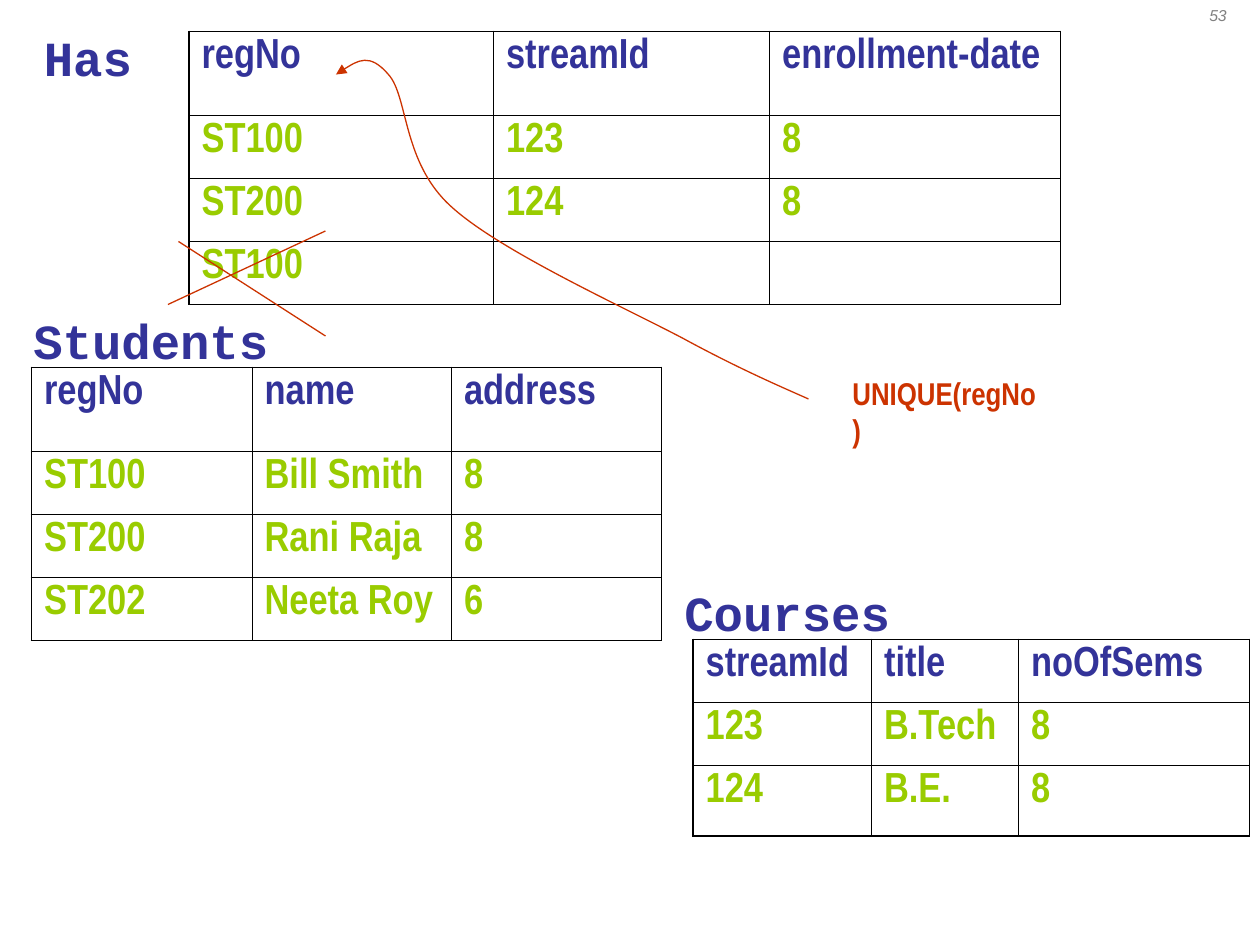
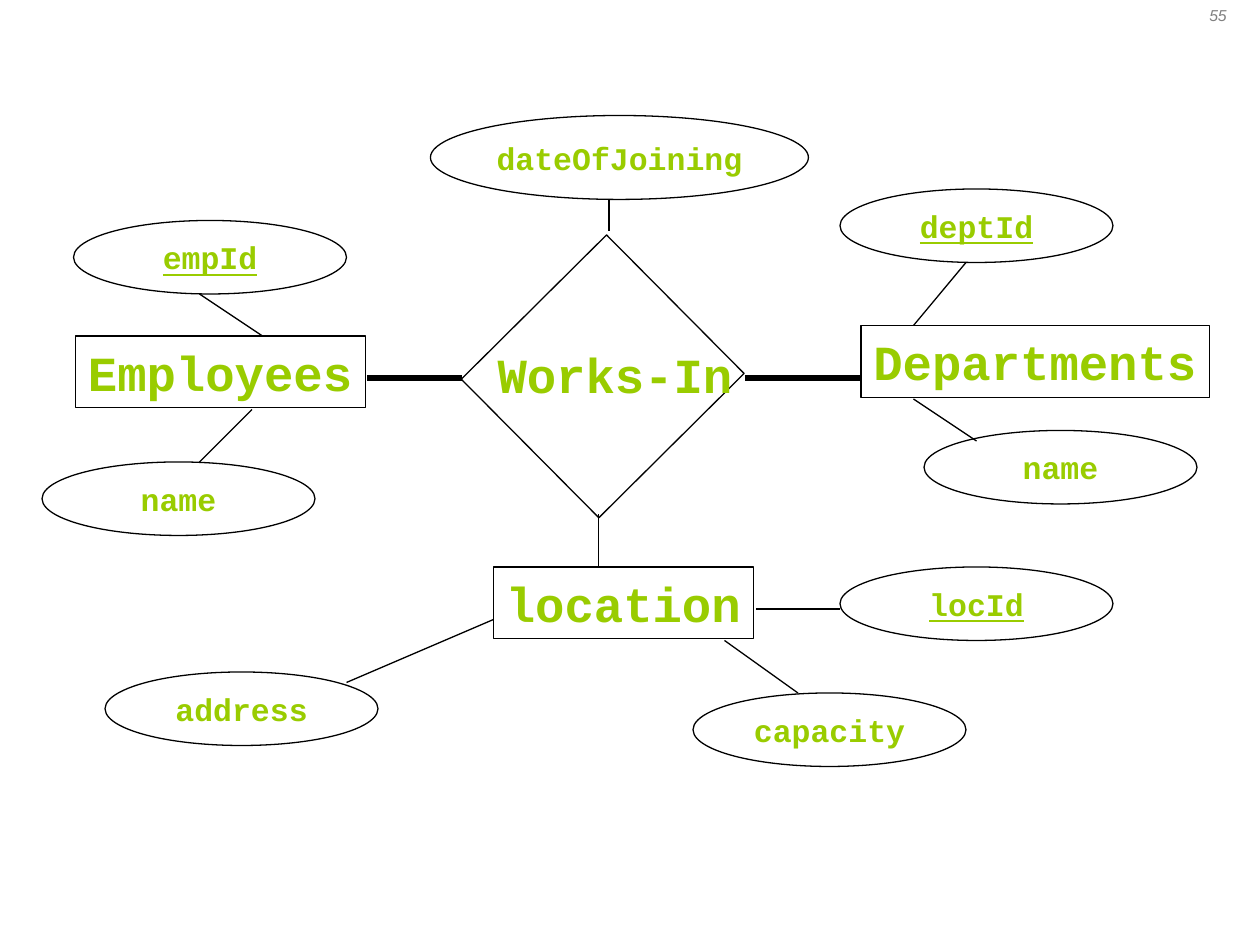
import pptx
import pptx.dml.color
import pptx.enum.shapes
import pptx.enum.text
import pptx.oxml
import pptx.oxml.ns
import pptx.util
from dataclasses import dataclass

RGB = pptx.dml.color.RGBColor
BLACK = RGB(0x00, 0x00, 0x00)
GREY = RGB(0x80, 0x80, 0x80)
NAVY = RGB(0x33, 0x33, 0x99)
LIME = RGB(0x99, 0xCC, 0x00)
RUST = RGB(0xCC, 0x33, 0x00)

SANS, NARROW, MONO = "Arial", "Arial Narrow", "Courier New"
WIDTH, HEIGHT = pptx.util.Inches(10), pptx.util.Inches(7.5)
COLUMNS, ROWS = 120, 90
LABEL_ROWS = 6.84
OVAL = (26, 7)
NAMESPACE = pptx.oxml.ns.nsdecls("a")
SHAPES = pptx.enum.shapes.MSO_SHAPE
CENTER = pptx.enum.text.PP_ALIGN.CENTER


def across(columns):
    return round(WIDTH * columns / COLUMNS)


def down(rows):
    return round(HEIGHT * rows / ROWS)


@dataclass
class Box:
    column: float
    row: float

    def point(self, column, row):
        return across(self.column + column), down(self.row + row)

    def area(self, column, row, columns, rows):
        return (*self.point(column, row), across(columns), down(rows))


def add_text(frame, text, size, font, color, bold=True, italic=False, underline=False, align=None):
    para = frame.paragraphs[0]
    para.alignment = align
    span = para.add_run()
    span.text = text
    span.font.size = pptx.util.Pt(size)
    span.font.name = font
    span.font.color.rgb = color
    span.font.bold = bold
    span.font.italic = italic
    if underline:
        span.font.underline = True


def add_caption(page, area, text, size, font, color):
    frame = page.shapes.add_textbox(*area).text_frame
    frame.word_wrap = False
    add_text(frame, text, size, font, color)


def label_columns(text):
    return (len(text) * 28 * 0.6 / 72 + 0.2) * 12


def add_label(page, box, column, row, text, color):
    area = box.area(column, row, label_columns(text), LABEL_ROWS)
    add_caption(page, area, text, 28, MONO, color)


def add_outline(page, kind, area):
    shape = page.shapes.add_shape(kind, *area)
    shape.shadow.inherit = False
    shape.fill.background()
    shape.line.color.rgb = BLACK
    shape.line.width = pptx.util.Pt(0.75)
    shape.text_frame.word_wrap = False
    return shape


def add_line(page, box, start, end, color=BLACK, weight=0.75):
    line = page.shapes.add_connector(
        pptx.enum.shapes.MSO_CONNECTOR.STRAIGHT, *box.point(*start), *box.point(*end))
    line.line.color.rgb = color
    line.line.width = pptx.util.Pt(weight)
    line.element.spPr.append(pptx.oxml.parse_xml(f"<a:effectLst {NAMESPACE}/>"))


def add_page_number(page, number):
    frame = page.shapes.add_textbox(*Box(112, 0).area(0, 0, 8, 6)).text_frame
    frame.word_wrap = True
    add_text(frame, number, 9, SANS, GREY, bold=False, italic=True, align=CENTER)


def set_borders(cell, outer_sides):
    cell.fill.background()
    properties = cell._tc.get_or_add_tcPr()
    for index, side in enumerate("LRTB"):
        weight = pptx.util.Pt(1.08 if side in outer_sides else 0.45)
        properties.insert(index, pptx.oxml.parse_xml(
            f'<a:ln{side} {NAMESPACE} w="{weight}"><a:solidFill>'
            f'<a:srgbClr val="{BLACK}"/></a:solidFill></a:ln{side}>'))


def add_relation(page, box, name, name_spot, widths, heights, records):
    add_label(page, box, *name_spot, name, NAVY)
    area = box.area(0, 0, sum(widths), sum(heights))
    table = page.shapes.add_table(len(heights), len(widths), *area).table
    for column, width in zip(table.columns, widths):
        column.width = across(width)
    for row, height in zip(table.rows, heights):
        row.height = down(height)
    last_row, last_column = len(heights) - 1, len(widths) - 1
    for r, record in enumerate(records):
        for c, value in enumerate(record):
            cell = table.cell(r, c)
            edges = {"L": c == 0, "R": c == last_column, "T": r == 0, "B": r == last_row}
            set_borders(cell, [side for side, outer in edges.items() if outer])
            if value:
                add_text(cell.text_frame, value, 24, NARROW, LIME if r else NAVY)


def add_curved_arrow(page, box, points):
    start, *rest = [box.point(*point) for point in points]
    builder = page.shapes.build_freeform(*start)
    builder.add_line_segments(rest, close=False)
    arrow = builder.convert_to_shape()
    arrow.shadow.inherit = False
    arrow.fill.background()
    arrow.line.color.rgb = RUST
    arrow.line.width = pptx.util.Pt(0.75)
    segments = arrow.element.xpath(".//a:lnTo")
    for first in range(0, len(segments), 3):
        curve = pptx.oxml.parse_xml(f"<a:cubicBezTo {NAMESPACE}/>")
        segments[first].addprevious(curve)
        for segment in segments[first:first + 3]:
            curve.append(segment[0])
            segment.getparent().remove(segment)
    outline = arrow.element.xpath("./p:spPr/a:ln")[0]
    outline.append(pptx.oxml.parse_xml(f'<a:headEnd {NAMESPACE} type="triangle"/>'))


def add_cross(page, box):
    add_line(page, box, (1, 1), (15, 10), RUST)
    add_line(page, box, (15, 0), (0, 7), RUST)


def add_constraint(page, box, text):
    add_caption(page, box.area(48, 30, 20.64, 4.8), text, 18, NARROW, RUST)
    add_curved_arrow(page, box, [
        (0, 2.1), (1.6, 1), (3.2, 0), (5, 2.1), (6.9, 4.2), (6.3, 10.5), (11, 14.7),
        (15.6, 18.9), (27.3, 24.2), (33, 27.2), (38.7, 30.3), (43, 32.1), (45, 33)])


def add_attribute(page, box, name, spot, is_key, start, end, size=OVAL):
    oval = add_outline(page, SHAPES.OVAL, box.area(*spot, *size))
    oval.text_frame.vertical_anchor = pptx.enum.text.MSO_ANCHOR.MIDDLE
    add_text(oval.text_frame, name, 18, MONO, LIME, underline=is_key, align=CENTER)
    add_line(page, box, start, end)


def add_entity(page, box, name, attributes):
    area = box.area(0, 0, label_columns(name), LABEL_ROWS)
    frame = add_outline(page, SHAPES.RECTANGLE, area).text_frame
    frame.vertical_anchor = pptx.enum.text.MSO_ANCHOR.TOP
    add_text(frame, name, 28, MONO, LIME, align=pptx.enum.text.PP_ALIGN.LEFT)
    for attribute in attributes:
        add_attribute(page, box, *attribute)


def add_relationship(page, box, name, attribute):
    diamond = add_outline(page, SHAPES.RECTANGLE, box.area(4.1, 4.1, 18.6, 19.5))
    diamond.rotation = 45.2
    add_label(page, box, 2.2, 10.2, name, LIME)
    add_attribute(page, box, attribute, (-3, -11), False, (14, 0), (14, -3), (36, 8))
    add_line(page, box, (-9, 14), (0, 14), weight=3)
    add_line(page, box, (27, 14), (38, 14), weight=3)
    add_line(page, box, (13, 32), (13, 27))


def build_relations(page):
    add_page_number(page, "53")
    add_relation(page, Box(66, 60.9), "Courses", (-2, -6), (17, 14, 22), (6, 6, 6.7), [
        ("streamId", "title", "noOfSems"),
        ("123", "B.Tech", "8"),
        ("124", "B.E.", "8")])
    add_relation(page, Box(3, 35), "Students", (-1, -6), (21, 19, 20), (8, 6, 6, 6), [
        ("regNo", "name", "address"),
        ("ST100", "Bill Smith", "8"),
        ("ST200", "Rani Raja", "8"),
        ("ST202", "Neeta Roy", "6")])
    add_relation(page, Box(18, 3), "Has", (-15, -1), (29, 26.3, 27.7), (8, 6, 6, 6), [
        ("regNo", "streamId", "enrollment-date"),
        ("ST100", "123", "8"),
        ("ST200", "124", "8"),
        ("ST100", "", "")])
    add_cross(page, Box(16, 22))
    add_constraint(page, Box(32, 5), "UNIQUE(regNo)")


def build_diagram(page):
    add_page_number(page, "55")
    add_relationship(page, Box(44, 22), "Works-In", "dateOfJoining")
    add_entity(page, Box(7.2, 32), "Employees", [
        ("empId", (-0.2, -11), True, (17.8, 0), (11.8, -4)),
        ("name", (-3.2, 12), False, (16.8, 7), (11.8, 12))])
    add_entity(page, Box(82, 31), "Departments", [
        ("deptId", (-2, -13), True, (5, 0), (10, -6)),
        ("name", (6, 10), False, (5, 7), (11, 11))])
    add_entity(page, Box(47, 54), "location", [
        ("address", (-37, 10), False, (0, 5), (-14, 11)),
        ("capacity", (19, 12), False, (22, 7), (29, 12)),
        ("locId", (33, 0), True, (25, 4), (33, 4))])


def main():
    deck = pptx.Presentation()
    deck.slide_width, deck.slide_height = WIDTH, HEIGHT
    blank = deck.slide_layouts[6]
    for build in (build_relations, build_diagram):
        build(deck.slides.add_slide(blank))
    deck.save("out.pptx")


if __name__ == "__main__":
    main()
